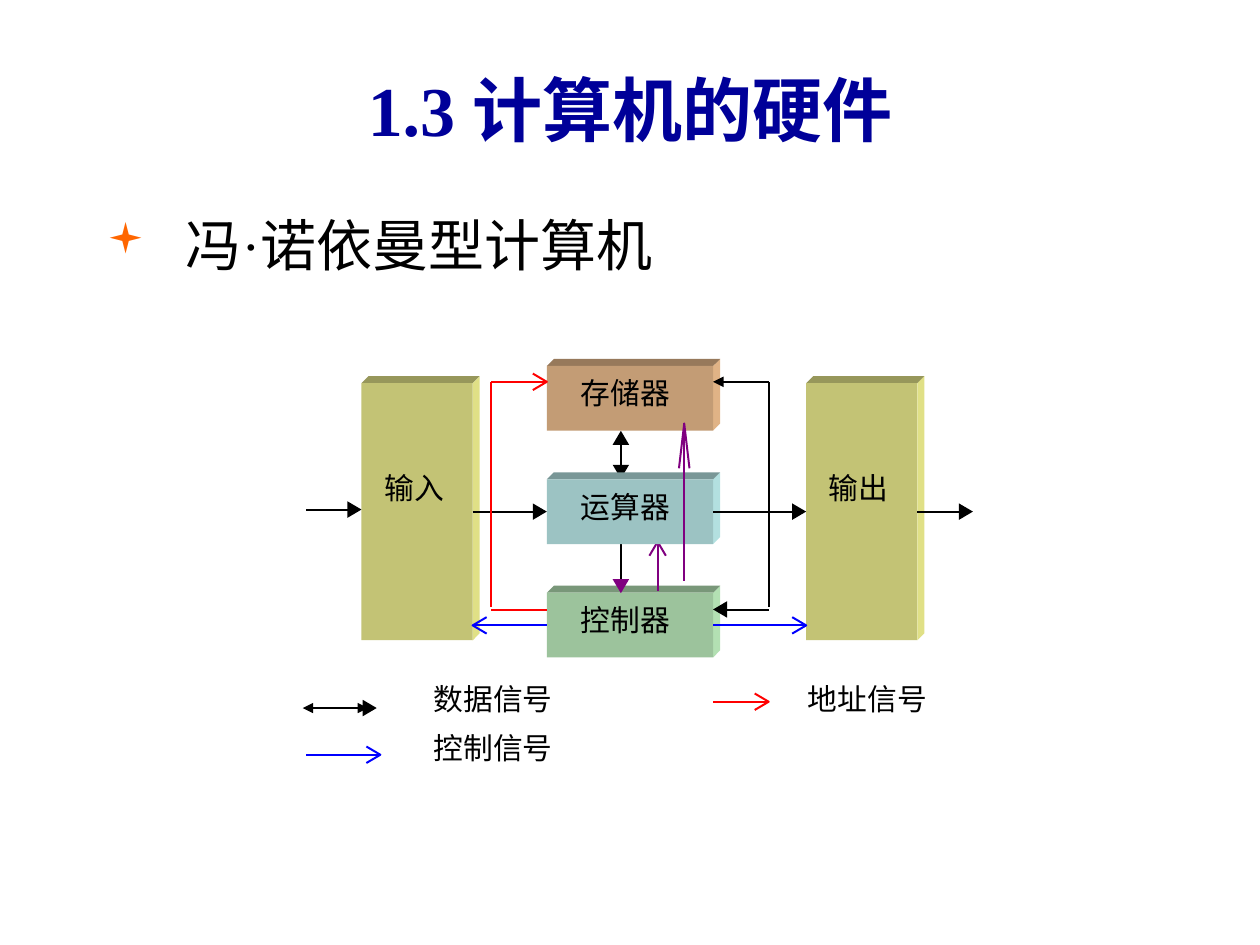
from dataclasses import dataclass
from math import hypot

from lxml import etree
from pptx import Presentation
from pptx.dml.color import RGBColor
from pptx.enum import shapes, text
from pptx.oxml import ns
from pptx.util import Pt


@dataclass(frozen=True)
class Theme:
    title: str = "000099"
    ink: str = "000000"
    bullet: str = "FF6600"
    data: str = "000000"
    address: str = "FF0000"
    control: str = "0000FF"
    operation: str = "800080"
    # front, top and side of each kind of block
    port: tuple = ("C3C375", "97975B", "E0E086")
    memory: tuple = ("C39C75", "97795B", "E0B386")
    arithmetic: tuple = ("9CC3C3", "799797", "B3E0E0")
    controller: tuple = ("9CC39C", "799779", "B3E0B3")
    serif: str = "Times New Roman"
    sans: str = "Noto Sans CJK SC"
    title_size: int = 40
    body_size: int = 32
    label_size: int = 17
    line: float = 1.13


THEME = Theme()


def add_text(page, box, words, size, color, font):
    frame = page.shapes.add_textbox(*map(Pt, box)).text_frame
    frame.word_wrap = True
    frame.text = words
    span = frame.paragraphs[0].runs[0]
    span.font.size = Pt(size)
    span.font.name = font
    span.font.color.rgb = RGBColor.from_string(color)
    etree.SubElement(span.font._element, ns.qn("a:ea"), typeface=THEME.sans)
    return frame


def add_label(page, left, top, words):
    box = (left, top, THEME.label_size * len(words) + 2, 20)
    frame = add_text(page, box, words, THEME.label_size, THEME.ink, THEME.sans)
    frame.margin_left = frame.margin_right = 0
    frame.margin_top = frame.margin_bottom = 0
    frame.word_wrap = False
    frame.vertical_anchor = text.MSO_ANCHOR.MIDDLE


def paint(shape, color):
    shape.shadow.inherit = False
    shape.fill.solid()
    shape.fill.fore_color.rgb = RGBColor.from_string(color)
    shape.line.fill.background()


def add_outline(page, points, closed=True):
    first, *rest = [(Pt(x), Pt(y)) for x, y in points]
    builder = page.shapes.build_freeform(*first)
    builder.add_line_segments(rest, close=closed)
    return builder.convert_to_shape()


def add_block(page, box, colors, words, inset, depth=4):
    """Draw a raised block and return its front face."""
    left, top, width, height = box
    right, bottom = left + width, top + height
    front, upper, side = colors
    paint(add_outline(page, [(right, bottom), (right, top), (right + depth, top - depth),
                             (right + depth, bottom - depth)]), side)
    paint(add_outline(page, [(right, top), (left, top), (left + depth, top - depth),
                             (right + depth, top - depth)]), upper)
    face = page.shapes.add_shape(shapes.MSO_SHAPE.RECTANGLE, *map(Pt, box))
    paint(face, front)
    add_label(page, left + inset[0], top + inset[1], words)
    return face


def add_stroke(page, start, end, color, ends=()):
    """Draw a line; ends names the built-in heads, headEnd before tailEnd."""
    stroke = page.shapes.add_connector(shapes.MSO_CONNECTOR.STRAIGHT, *map(Pt, (*start, *end)))
    stroke.line.width = Pt(THEME.line)
    stroke.line.color.rgb = RGBColor.from_string(color)
    for name in ends:
        etree.SubElement(stroke.line._get_or_add_ln(), ns.qn("a:" + name), type="triangle")
    etree.SubElement(stroke._element.spPr, ns.qn("a:effectLst"))
    return stroke


def add_arrow(page, start, tip, color, solid=False, ends=(), source=None,
              head_color=None, length=8, half=4.7):
    """Draw a line with a filled or open head; source is a block left at its right side."""
    span = hypot(tip[0] - start[0], tip[1] - start[1])
    dx, dy = (tip[0] - start[0]) / span, (tip[1] - start[1]) / span
    stop = (tip[0] - 5 * dx, tip[1] - 5 * dy) if solid else tip
    stroke = add_stroke(page, start, stop, color, ends)
    if source is not None:
        stroke.begin_connect(source, 3)
    base = (tip[0] - length * dx, tip[1] - length * dy)
    wings = [(base[0] - side * half * dy, base[1] + side * half * dx) for side in (1, -1)]
    head = add_outline(page, [wings[0], tip, wings[1]], closed=solid)
    paint(head, head_color or color)
    if not solid:
        head.fill.background()
        head.line.color.rgb = RGBColor.from_string(color)
        head.line.width = Pt(THEME.line)


def add_title(page, box):
    frame = add_text(page, box, "1.3 计算机的硬件", THEME.title_size, THEME.title, THEME.serif)
    frame.vertical_anchor = text.MSO_ANCHOR.MIDDLE
    para = frame.paragraphs[0]
    para.alignment = text.PP_ALIGN.CENTER
    para.runs[0].font.bold = True


def add_body(page, box):
    frame = add_text(page, box, "冯·诺依曼型计算机", THEME.body_size, THEME.ink, THEME.serif)
    props = frame.paragraphs[0]._p.get_or_add_pPr()
    props.set("marL", str(Pt(45)))
    props.set("indent", str(-Pt(45)))
    color = etree.SubElement(props, ns.qn("a:buClr"))
    etree.SubElement(color, ns.qn("a:srgbClr"), val=THEME.bullet)
    etree.SubElement(props, ns.qn("a:buSzPct"), val="75000")
    etree.SubElement(props, ns.qn("a:buFont"), typeface="Wingdings")
    etree.SubElement(props, ns.qn("a:buChar"), char="▪")


def add_machine(page, left, top):
    """Draw the five units and the signals between them."""
    def at(x, y):
        return left + x, top + y

    port_width, unit_width, unit_height = 63.5, 95, 37
    input_left, unit_left, output_left = 34.6, 140.5, 288.7
    input_right, unit_right = input_left + port_width, unit_left + unit_width
    output_right = output_left + port_width
    rows = [4.1 + 64.8 * row for row in range(3)]
    middle = rows[1] + unit_height / 2
    address_x, data_x, high, low, control_y = 108.8, 267.3, 13.2, 143.3, 152.4

    def unit(row, colors, words):
        box = (*at(unit_left, rows[row]), unit_width, unit_height)
        return add_block(page, box, colors, words, (19.4, 5.5))

    def port(x, words):
        box = (*at(x, middle - 73.5), port_width, 147)
        return add_block(page, box, THEME.port, words, (13, 50))

    unit(2, THEME.controller, "控制器")
    for start, tip in ((55, 41.2), (55, 68.6)):
        add_arrow(page, at(182.8, start), at(182.8, tip), THEME.data, solid=True)
    add_arrow(page, at(182.8, 106), at(182.8, 134), THEME.data, solid=True,
              head_color=THEME.operation)
    add_stroke(page, at(address_x, low), at(unit_left, low), THEME.address)
    add_arrow(page, at(203.8, 132.7), at(203.8, 104.6), THEME.operation)

    unit(0, THEME.memory, "存储器")
    output_face = port(output_left, "输出")
    input_face = port(input_left, "输入")
    arithmetic_face = unit(1, THEME.arithmetic, "运算器")

    for start, tip, source in ((input_right, unit_left, input_face),
                               (unit_right, output_left, arithmetic_face),
                               (output_right, 384, output_face)):
        add_arrow(page, at(start, middle), at(tip, middle), THEME.data, solid=True, source=source)
    add_arrow(page, at(3, 86.2), at(input_left, 86.2), THEME.data, solid=True)

    add_arrow(page, at(data_x, low), at(unit_right, low), THEME.data, solid=True)
    add_stroke(page, at(unit_right, high), at(data_x, high), THEME.data, ["headEnd"])
    add_arrow(page, at(address_x, high), at(unit_left, high), THEME.address)
    for x, color in ((data_x, THEME.data), (address_x, THEME.address)):
        add_stroke(page, at(x, high), at(x, low - 1.5), color)
    for start, tip in ((unit_left, input_right), (unit_right, output_left)):
        add_arrow(page, at(start, control_y), at(tip, control_y), THEME.control)
    add_arrow(page, at(219, 127), at(219, 37), THEME.operation, length=25.6, half=3)


def add_legend(page, left, top):
    add_arrow(page, (left + 1, top + 15.6), (left + 43.3, top + 15.6), THEME.data,
              solid=True, ends=["headEnd", "tailEnd"])
    add_arrow(page, (left + 3, top + 42.3), (left + 45.4, top + 42.3), THEME.control)
    add_arrow(page, (left + 235.5, top + 12), (left + 267.3, top + 12), THEME.address)
    for x, y, words in ((75.7, 0, "数据信号"), (75.7, 28, "控制信号"), (289.5, 0, "地址信号")):
        add_label(page, left + x, top + y, words)


def main():
    deck = Presentation()
    deck.slide_width, deck.slide_height = Pt(720), Pt(540)
    page = deck.slides.add_slide(deck.slide_layouts[6])
    add_title(page, (24, 30, 672, 64))
    add_body(page, (54, 116.6, 623.5, 352.8))
    add_machine(page, 172, 205)
    add_legend(page, 172, 389)
    deck.save("out.pptx")


if __name__ == "__main__":
    main()
